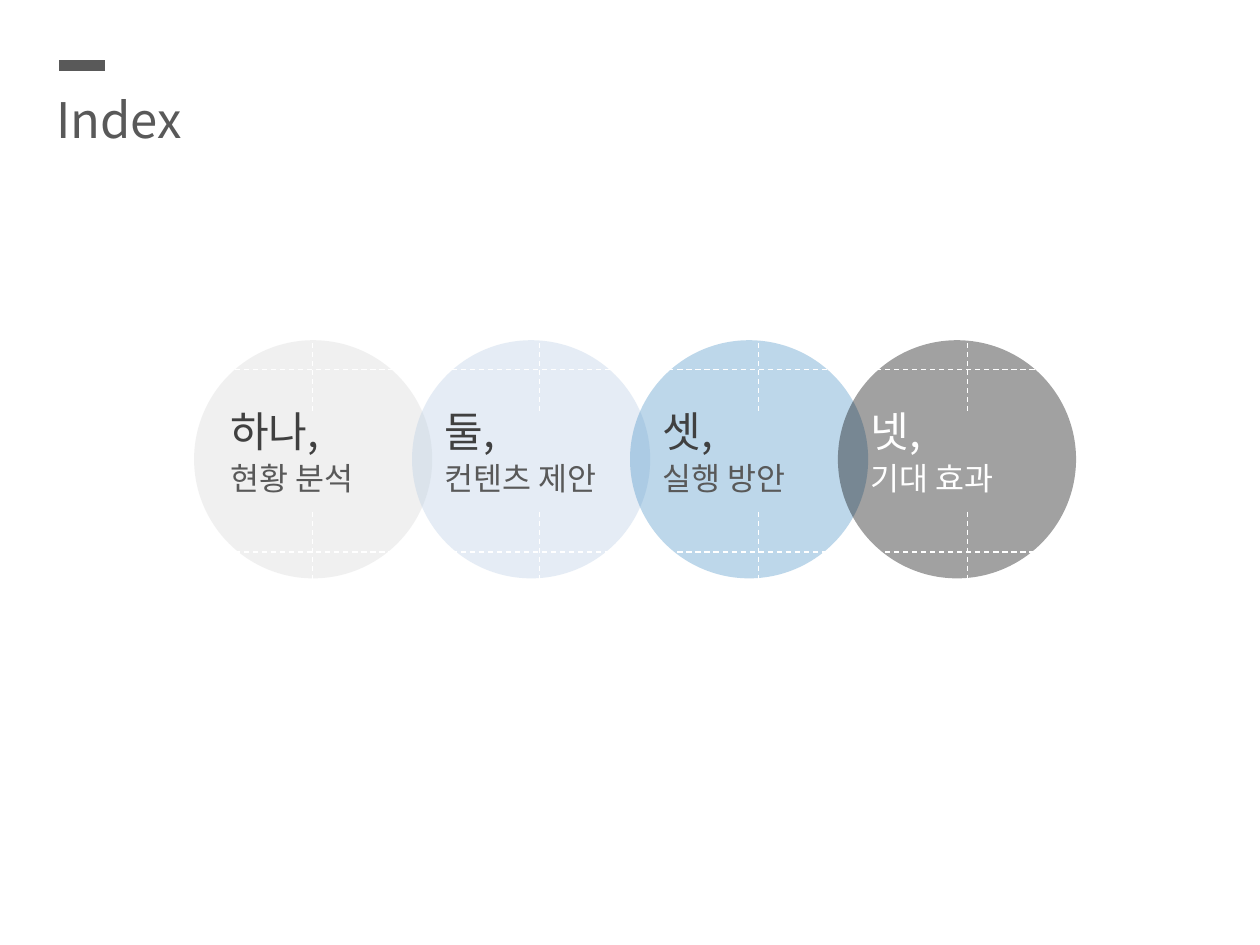
from dataclasses import dataclass

from lxml import etree
from pptx import Presentation
from pptx import util as u
from pptx.dml.color import RGBColor
from pptx.enum import dml, shapes, text
from pptx.oxml import ns


@dataclass(frozen=True)
class Theme:
    font: str = "Noto Sans CJK KR"
    gray: str = "595959"
    dark: str = "404040"
    white: str = "FFFFFF"
    title_size: int = 28
    number_size: int = 24
    topic_size: int = 18
    circle_alpha: int = 37000


THEME = Theme()
CIRCLE_TOP, CIRCLE_SIZE = 2.7, 1.89
GUIDE_LEFT, GUIDE_RIGHT = 1.65, 8.46
GUIDE_ROWS = (2.93, 4.38)
TICK_ROWS = (2.65, 4.06)
TICK_LENGTH = 0.63

# (circle left, label left, tick x, fill, number, topic, number colour, topic colour)
SECTIONS = [
    (1.54, 1.73, 2.48, "D9D9D9", "하나,", "현황 분석", THEME.dark, THEME.gray),
    (3.27, 3.43, 4.28, "B9CDE5", "둘,", "컨텐츠 제안", THEME.dark, THEME.gray),
    (5.0, 5.16, 6.02, "4C93C7", "셋,", "실행 방안", THEME.dark, THEME.gray),
    (6.65, 6.81, 7.68, "000000", "넷,", "기대 효과", THEME.white, THEME.white),
]


def add_label(slide, left, top, width, height, wording, size, color):
    label = slide.shapes.add_textbox(*map(u.Inches, (left, top, width, height)))
    frame = label.text_frame
    frame.word_wrap = True
    frame.auto_size = text.MSO_AUTO_SIZE.SHAPE_TO_FIT_TEXT
    frame.text = wording
    run = frame.paragraphs[0].runs[0]
    run.font.size = u.Pt(size)
    run.font.name = THEME.font
    run.font.color.rgb = RGBColor.from_string(color)
    east_asian = etree.SubElement(run.font._element, ns.qn("a:ea"))
    east_asian.set("typeface", THEME.font)


def add_circle(slide, left, color):
    circle = slide.shapes.add_shape(
        shapes.MSO_SHAPE.OVAL,
        *map(u.Inches, (left, CIRCLE_TOP, CIRCLE_SIZE, CIRCLE_SIZE)),
    )
    circle.shadow.inherit = False
    circle.line.fill.background()
    circle.fill.solid()
    circle.fill.fore_color.rgb = RGBColor.from_string(color)
    tint = circle._element.spPr.find(ns.qn("a:solidFill"))[0]
    etree.SubElement(tint, ns.qn("a:alpha")).set("val", str(THEME.circle_alpha))


def add_rule(slide, start, end, color, width, dash=None):
    rule = slide.shapes.add_connector(
        shapes.MSO_CONNECTOR.STRAIGHT, *map(u.Inches, (*start, *end))
    )
    rule.line.color.rgb = RGBColor.from_string(color)
    rule.line.width = u.Pt(width)
    if dash:
        rule.line.dash_style = dash
    etree.SubElement(rule._element.spPr, ns.qn("a:effectLst"))


def add_guide(slide, start, end):
    add_rule(slide, start, end, THEME.white, 0.75, dml.MSO_LINE.DASH)


def main():
    deck = Presentation()
    deck.slide_width, deck.slide_height = u.Inches(10), u.Inches(7.5)
    slide = deck.slides.add_slide(deck.slide_layouts[6])

    add_label(slide, 0.35, 0.66, 3.86, 0.57, "Index", THEME.title_size, THEME.gray)
    add_rule(slide, (0.47, 0.52), (0.83, 0.52), THEME.gray, 6)

    for circle_left, *_, in SECTIONS:
        add_circle(slide, circle_left, _[2])
    for _, left, _, _, number, topic, number_color, topic_color in SECTIONS:
        add_label(slide, left, 3.17, 1.38, 0.5, number, THEME.number_size, number_color)
        add_label(slide, left, 3.59, 1.73, 0.4, topic, THEME.topic_size, topic_color)

    for y in GUIDE_ROWS:
        add_guide(slide, (GUIDE_LEFT, y), (GUIDE_RIGHT, y))
    for _, _, x, *_ in SECTIONS:
        for y in TICK_ROWS:
            add_guide(slide, (x, y), (x, y + TICK_LENGTH))

    deck.save("out.pptx")


if __name__ == "__main__":
    main()
